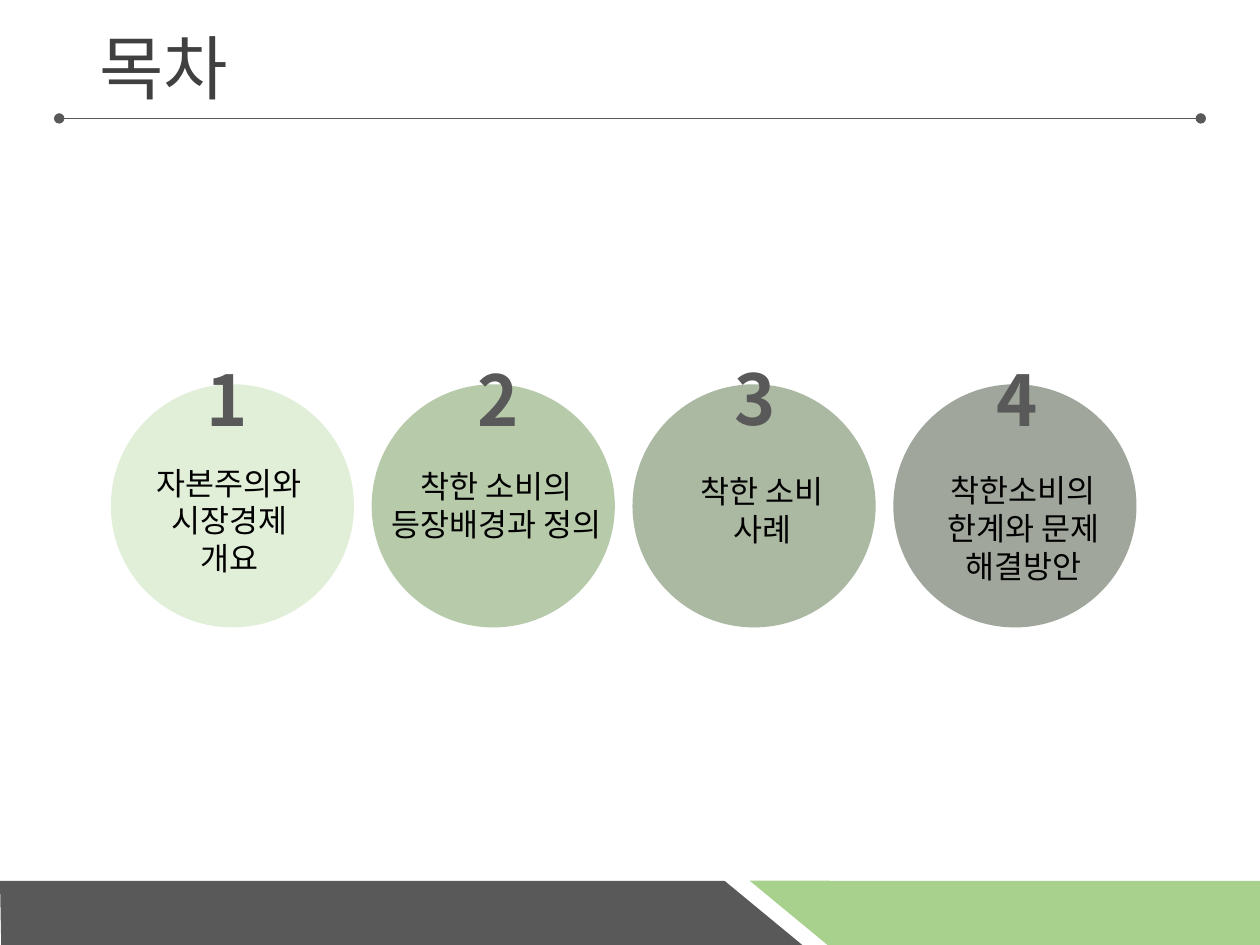
import pptx
import pptx.util
import pptx.dml.color
import pptx.enum.shapes
import pptx.enum.text
import pptx.oxml
import pptx.oxml.ns

Inches = pptx.util.Inches
KIND = pptx.enum.shapes.MSO_SHAPE
ALIGN = pptx.enum.text.PP_ALIGN
FONT = "Noto Sans CJK KR"
HUES = {"dark": "595959", "green": "A9D18E", "title": "404040", "text": "000000",
        "pale": "C5E0B4", "leaf": "548235", "moss": "385723", "deep": "1D2C12"}

# Content: fill, opacity %, number box (left, top), text box (left, top, width, height), lines
TITLE = "목차"
STEPS = [
    ("pale", 51, (1.54, 2.78), (0.95, 3.63, 1.74, 1.01), ["자본주의와 시장경제", "개요"]),
    ("leaf", 42, (3.69, 2.78), (2.92, 3.66, 2.04, 0.71), ["착한 소비의", "등장배경과 정의"]),
    ("moss", 42, (5.73, 2.77), (5.03, 3.70, 2.04, 0.71), ["착한 소비", "사례"]),
    ("deep", 42, (7.81, 2.78), (7.10, 3.69, 2.04, 1.01), ["착한소비의 한계와 문제 해결방안"]),
]
DISC, LEFT, TOP, STEP = 1.93, 0.88, 3.05, 2.07
FOOT, HIGH = 6.99, 0.52

BIG = {"size": pptx.util.Pt(40), "bold": True}
BODY = {"size": pptx.util.Pt(18), "bold": False}
HEAD = {"size": pptx.util.Pt(40), "bold": False}


def tint(hue):
    return pptx.dml.color.RGBColor.from_string(HUES[hue])


def node(base, tag, **vals):
    item = pptx.oxml.ns.qn("a:" + tag)
    part = base.makeelement(item, vals)
    base.append(part)
    return part


def paint(shape, hue, alpha=None):
    shape.shadow.inherit = False
    shape.fill.solid()
    shape.fill.fore_color.rgb = tint(hue)
    shape.line.fill.background()
    if alpha:
        rgb = shape.fill._xPr.find(".//" + pptx.oxml.ns.qn("a:srgbClr"))
        node(rgb, "alpha", val=str(alpha * 1000))


def write(frame, lines, look, hue, align):
    frame.word_wrap = True
    for i, line in enumerate(lines):
        para = frame.paragraphs[0] if i == 0 else frame.add_paragraph()
        para.alignment = align
        run = para.add_run()
        run.text = line
        for key, val in look.items():
            setattr(run.font, key, val)
        run.font.color.rgb = tint(hue)
        run.font.name = FONT
        node(run.font._element, "ea", typeface=FONT)


def label(slide, box, *args):
    text = slide.shapes.add_textbox(*map(Inches, box))
    write(text.text_frame, *args)


def footer(slide):
    for kind, left, width, turn in [(KIND.RECTANGLE, 6.57, 3.43, 0),
                                    (KIND.RIGHT_TRIANGLE, 5.95, 0.63, 180)]:
        part = slide.shapes.add_shape(kind, *map(Inches, (left, FOOT, width, HIGH)))
        part.rotation = turn
        paint(part, "green")
    base = FOOT + HIGH
    pen = slide.shapes.build_freeform(0, Inches(FOOT))
    pen.add_line_segments([(Inches(x), Inches(y)) for x, y in
                           [(5.75, FOOT), (6.38, base), (0.01, base)]], close=True)
    paint(pen.convert_to_shape(), "dark")


def rule(slide):
    line = slide.shapes.add_connector(pptx.enum.shapes.MSO_CONNECTOR.STRAIGHT,
                                      *map(Inches, (0.47, 0.94, 9.53, 0.94)))
    line.line.color.rgb = tint("dark")
    line.line.width = pptx.util.Pt(0.5)
    for end in ("headEnd", "tailEnd"):
        node(line.line._ln, end, type="oval")
    node(line._element.spPr, "effectLst")


def main():
    deck = pptx.Presentation()
    deck.slide_width, deck.slide_height = Inches(10), Inches(7.5)
    slide = deck.slides.add_slide(deck.slide_layouts[5])

    # Footer band and title rule
    footer(slide)
    rule(slide)

    # Title
    title = slide.shapes.title
    for key, val in {"left": 0.69, "top": 0.18, "width": 8.62, "height": 0.78}.items():
        setattr(title, key, Inches(val))
    frame = title.text_frame
    frame.auto_size = pptx.enum.text.MSO_AUTO_SIZE.NONE
    frame.vertical_anchor = pptx.enum.text.MSO_ANCHOR.MIDDLE
    write(frame, [TITLE], HEAD, "title", ALIGN.LEFT)
    frame.paragraphs[0].line_spacing = 0.9

    # Numbered discs
    for i, (hue, alpha, spot, box, lines) in enumerate(STEPS):
        disc = slide.shapes.add_shape(
            KIND.OVAL, *map(Inches, (LEFT + i * STEP, TOP, DISC, DISC)))
        paint(disc, hue, alpha)
        label(slide, (*spot, 0.63, 0.77), [str(i + 1)], BIG, "dark", ALIGN.LEFT)
        label(slide, box, lines, BODY, "text", ALIGN.CENTER)

    deck.save("out.pptx")


if __name__ == "__main__":
    main()
